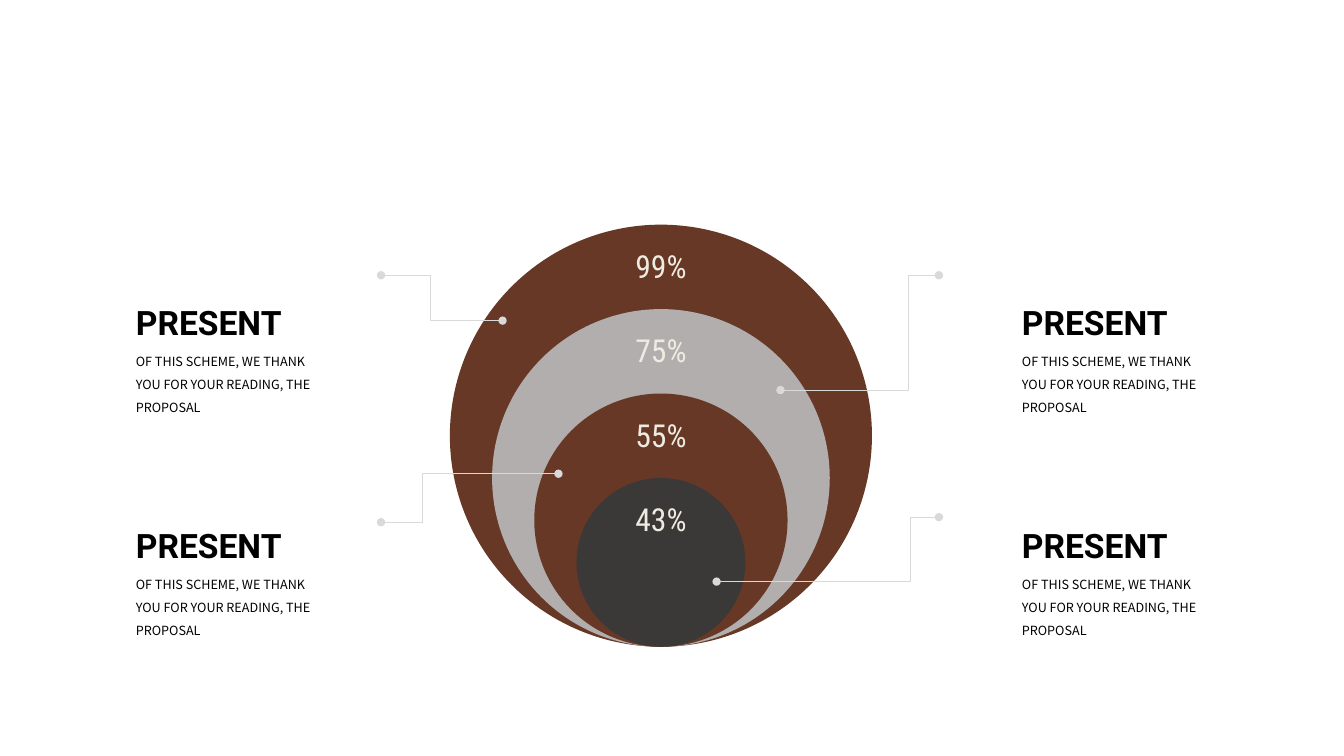
from lxml.etree import SubElement
from pptx import Presentation
from pptx.dml.color import RGBColor
from pptx.enum.shapes import MSO_CONNECTOR, MSO_SHAPE
from pptx.enum.text import MSO_AUTO_SIZE, PP_ALIGN
from pptx.oxml.ns import qn
from pptx.util import Pt

COLORS = {
    "brown": "663825",
    "gray": "B2AEAE",
    "charcoal": "3B3838",
    "cream": "EEECE1",
    "leader": "D9D9D9",
    "black": "000000",
}
LEVELS = [("99%", "brown"), ("75%", "gray"), ("55%", "brown"), ("43%", "charcoal")]
CENTER_X, CIRCLES_BOTTOM, STEP = 472.1, 462, 60.3
LEADERS = [
    ((272.2, 373), (398.9, 338.4), 0.232),
    ((670.7, 196.6), (557.5, 278.6), 0.191),
    ((670.7, 369.4), (511.9, 415.4), 0.129),
    ((272.2, 196.6), (359, 229), 0.408),
]
NOTE_LEFTS = (90, 722.9)
NOTE_TOPS = (212.4, 371.5)
NOTE_TITLE = "PRESENT"
NOTE_BODY = "OF THIS SCHEME, WE THANK YOU FOR YOUR READING, THE PROPOSAL"


def rgb(name):
    return RGBColor.from_string(COLORS[name])


def add_circle(slide, diameter, color):
    circle = slide.shapes.add_shape(
        MSO_SHAPE.OVAL, Pt(CENTER_X - diameter / 2), Pt(CIRCLES_BOTTOM - diameter),
        Pt(diameter), Pt(diameter))
    circle.shadow.inherit = False
    circle.fill.solid()
    circle.fill.fore_color.rgb = rgb(color)
    circle.line.fill.background()


def add_text(slide, text, left, top, width, height, font, size, color="black",
             bold=False, align=PP_ALIGN.LEFT, spacing=1.0):
    frame = slide.shapes.add_textbox(Pt(left), Pt(top), Pt(width), Pt(height)).text_frame
    frame.word_wrap = True
    frame.auto_size = MSO_AUTO_SIZE.SHAPE_TO_FIT_TEXT
    paragraph = frame.paragraphs[0]
    paragraph.text = text
    paragraph.alignment = align
    paragraph.line_spacing = spacing
    paragraph.font.name = font
    paragraph.font.size = Pt(size)
    paragraph.font.bold = bold
    paragraph.font.color.rgb = rgb(color)


def add_leader(slide, start, end, bend):
    leader = slide.shapes.add_connector(
        MSO_CONNECTOR.ELBOW, *(Pt(length) for length in start + end))
    leader.line.color.rgb = rgb("leader")
    leader.line.width = Pt(0.75)
    properties = leader._element.spPr
    adjustments = properties.find(qn("a:prstGeom")).find(qn("a:avLst"))
    SubElement(adjustments, qn("a:gd"), name="adj1", fmla=f"val {round(bend * 100000)}")
    outline = properties.find(qn("a:ln"))
    for tip in ("a:headEnd", "a:tailEnd"):
        SubElement(outline, qn(tip), type="oval")
    SubElement(properties, qn("a:effectLst"))


def add_note(slide, left, top):
    add_text(slide, NOTE_TITLE, left, top, 129, 36, "Roboto", 24, bold=True)
    add_text(slide, NOTE_BODY, left, top + 31.7, 152, 40.3, "Noto Sans CJK SC", 9,
             spacing=1.5)


def main():
    presentation = Presentation()
    presentation.slide_width = Pt(960)
    presentation.slide_height = Pt(540)
    slide = presentation.slides.add_slide(presentation.slide_layouts[6])
    for index, (_, color) in enumerate(LEVELS):
        add_circle(slide, STEP * (5 - index), color)
    for index, (percent, _) in enumerate(LEVELS):
        add_text(slide, percent, CENTER_X - 40, 172.8 + STEP * index, 80, 34.6,
                 "Roboto Condensed", 22.6, "cream", align=PP_ALIGN.CENTER)
    for start, end, bend in LEADERS:
        add_leader(slide, start, end, bend)
    for left in NOTE_LEFTS:
        for top in NOTE_TOPS:
            add_note(slide, left, top)
    presentation.save("out.pptx")


if __name__ == "__main__":
    main()
